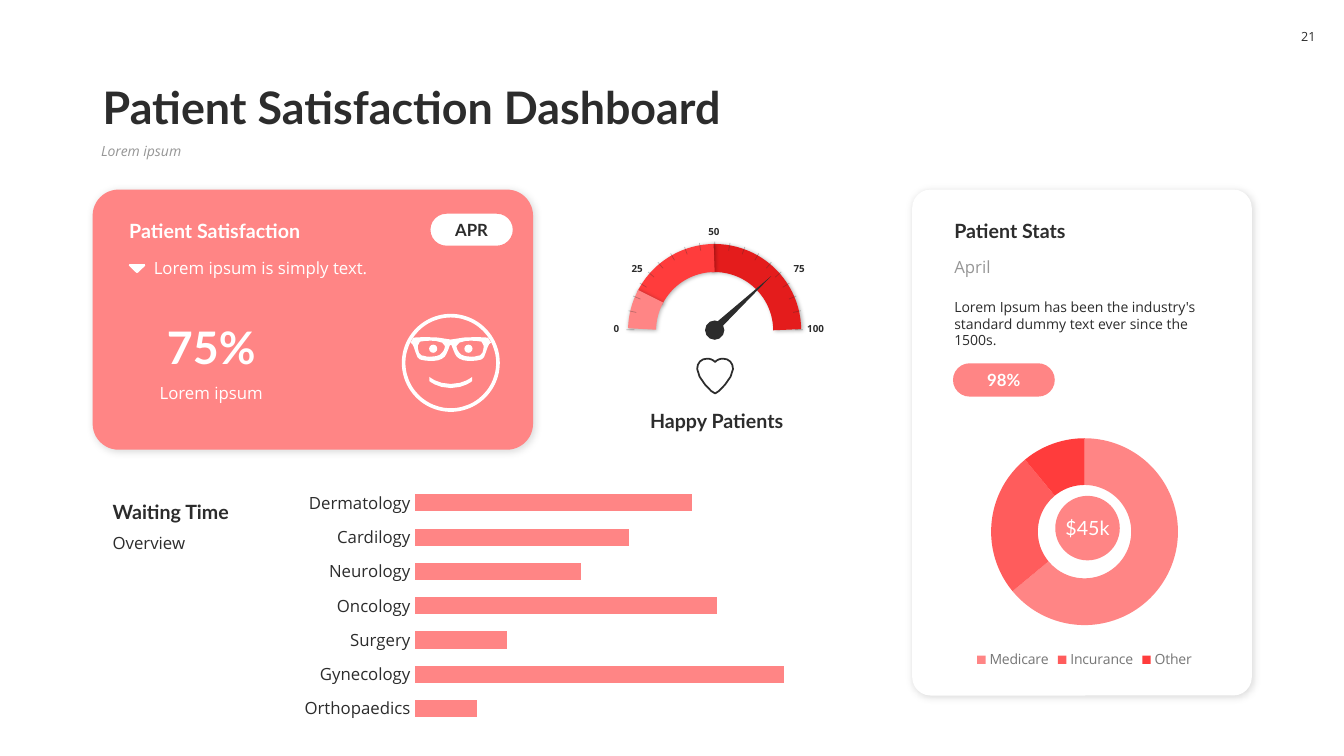
"""Build the patient satisfaction dashboard slide."""
import math

from lxml import etree
from pptx import Presentation
from pptx import util as u
from pptx.chart import data as chart_data
from pptx.dml import color as dml
from pptx.enum import chart as charts, shapes, text
from pptx.oxml import ns

Pt = u.Pt
COLORS = {"ink": "2C2C2C", "white": "FFFFFF", "grey": "969696", "legend": "767676",
          "coral": "FF8585", "salmon": "FF5C5C", "red": "FF3C3C", "crimson": "E41C1C",
          "black": "000000"}
HEADING, BODY = "Lato", "Open Sans"
LEFT, CENTER, RIGHT = text.PP_ALIGN.LEFT, text.PP_ALIGN.CENTER, text.PP_ALIGN.RIGHT
TOP, MIDDLE, BOTTOM = text.MSO_ANCHOR.TOP, text.MSO_ANCHOR.MIDDLE, text.MSO_ANCHOR.BOTTOM
PRESET = shapes.MSO_SHAPE
GAUGE_X, GAUGE_Y = 510.5, 235.6
TICK_ANGLES = (0, 12.5, 22.5, 32, 41, 50, 60, 70, 80, 90)


def rgb(name):
    return dml.RGBColor.from_string(COLORS[name])


def style_font(font, size, color, name=BODY, bold=False, italic=False):
    font.size, font.name, font.bold, font.italic = Pt(size), name, bold, italic
    font.color.rgb = rgb(color)


def write(shape, content, size, color, name=BODY, bold=False, italic=False,
          align=LEFT, anchor=TOP, wrap=True, insets=None, spacing=None):
    frame = shape.text_frame
    frame.text = content
    frame.word_wrap, frame.vertical_anchor = wrap, anchor
    if insets is not None:
        frame.margin_left = frame.margin_right = Pt(insets)
        frame.margin_top = frame.margin_bottom = Pt(insets)
    paragraph = frame.paragraphs[0]
    paragraph.alignment = align
    if spacing:
        paragraph.line_spacing = spacing
    style_font(paragraph.font, size, color, name, bold, italic)


def add_label(slide, box, content, size, color, **options):
    shape = slide.shapes.add_textbox(*map(Pt, box))
    write(shape, content, size, color, **options)
    shape.text_frame.auto_size = text.MSO_AUTO_SIZE.SHAPE_TO_FIT_TEXT


def add_heading(slide, box, content, color="ink", **options):
    add_label(slide, box, content, 14, color, name=HEADING, bold=True,
              **{"anchor": BOTTOM, **options})


def add_alpha(parent, percent):
    color = next(parent.iter(ns.qn("a:srgbClr")))
    etree.SubElement(color, ns.qn("a:alpha"), val=str(percent * 1000))


def paint(shape, fill=None, line=None, width=1, shadow=None):
    shape.shadow.inherit = False
    if fill:
        shape.fill.solid()
        shape.fill.fore_color.rgb = rgb(fill)
    else:
        shape.fill.background()
    if line:
        shape.line.color.rgb = rgb(line)
        shape.line.width = Pt(width)
    else:
        shape.line.fill.background()
    if shadow:
        alpha, blur, distance = shadow
        effects = next(shape._element.iter(ns.qn("a:effectLst")))
        outer = etree.SubElement(effects, ns.qn("a:outerShdw"), blurRad=str(Pt(blur)),
                                 dist=str(Pt(distance)), dir="2700000", rotWithShape="0")
        etree.SubElement(outer, ns.qn("a:srgbClr"), val=COLORS["black"])
        add_alpha(outer, alpha)


def add_preset(slide, preset, box, adjust=(), **look):
    shape = slide.shapes.add_shape(preset, *map(Pt, box))
    for index, value in enumerate(adjust):
        shape.adjustments[index] = value
    paint(shape, **look)
    return shape


def add_pill(slide, box, content, color, **look):
    shape = add_preset(slide, PRESET.ROUNDED_RECTANGLE, box, [0.5], **look)
    write(shape, content, 12, color, name=HEADING, bold=True, align=CENTER,
          anchor=MIDDLE, insets=0)


def curve(points, steps=3):
    """Sample a chain of cubic curves given as start, then two controls and an end each."""
    sampled = [points[0]]
    for i in range(0, len(points) - 1, 3):
        for step in range(1, steps + 1):
            t = step / steps
            weights = ((1 - t) ** 3, 3 * t * (1 - t) ** 2, 3 * t * t * (1 - t), t ** 3)
            sampled.append(tuple(sum(w * p[axis] for w, p in zip(weights, points[i:i + 4]))
                                 for axis in (0, 1)))
    return sampled


def mirror(points):
    return [(-x, y) for x, y in reversed(points)]


def add_outline(slide, x, y, contours, **look):
    placed = [[(Pt(x + dx), Pt(y + dy)) for dx, dy in contour] for contour in contours]
    builder = slide.shapes.build_freeform(*placed[0][0], scale=1.0)
    builder.add_line_segments(placed[0][1:], close=True)
    for contour in placed[1:]:
        builder.move_to(*contour[0])
        builder.add_line_segments(contour[1:], close=True)
    paint(builder.convert_to_shape(), **look)


def add_face(slide, x, y):
    add_preset(slide, PRESET.DONUT, (x - 35, y - 35, 70, 70), [0.037], fill="white")
    for side in (-1, 1):
        add_preset(slide, PRESET.OVAL, (x + side * 12.6 - 2.9, y - 13, 5.8, 5.8), fill="white")
    frame = curve([(0, -16.6), (9, -18.7), (19.8, -18.7), (26.6, -18)]) + curve([
        (28.8, -14.4), (27, -13.5), (27, -13), (25, -7.2), (24.3, -2.9), (21.4, -2.2),
        (21.4, -2.2), (18, -1.4), (16, -1.4), (14.8, -1.4), (11.2, -1.4), (9, -1.4),
        (6.3, -2.9), (4, -3.6), (2.7, -7.2), (2.7, -7.2), (1.2, -10), (1, -13), (0, -13)])
    lens = curve([
        (23.4, -10.1), (23.4, -9.4), (22.7, -7.9), (22.7, -7.2), (21.2, -5), (20.5, -5),
        (19.1, -5), (17.6, -4.3), (16.2, -4.3), (14.8, -4.3), (11.2, -4.3), (9, -5),
        (7.6, -5.8), (6.1, -6.5), (5.4, -8.6), (4.7, -9.4), (4.7, -10.1), (2.5, -13.7),
        (6.1, -14.4), (9, -15.8), (12.6, -15.8), (14, -15.8), (15.5, -15.8), (20.5, -15.8),
        (22, -15.1), (24.1, -13.7), (23.4, -10.8), (23.4, -10.1)], steps=2)
    add_outline(slide, x, y, [frame + mirror(frame), lens, mirror(lens)], fill="white")
    lip = curve([(0, 18), (9.7, 18), (15.3, 13), (15.3, 13)], steps=4) + curve(
        [(15.3, 10), (15.3, 10), (9.7, 15.1), (0, 15.1)], steps=4)
    add_outline(slide, x, y, [lip + mirror(lip)], fill="white")


def add_gauge(slide):
    radius = 51.85
    box = (GAUGE_X - radius, GAUGE_Y + 0.6 - radius, 2 * radius, 2 * radius)
    for color, start, end in (("crimson", 267.6, 359.3), ("red", 206.5, 269.6),
                              ("coral", 181.3, 208.2)):
        add_preset(slide, PRESET.ARC, box, [start * 0.6, end * 0.6], line=color, width=20,
                   shadow=(30, 3, 1))
    add_preset(slide, PRESET.OVAL, (GAUGE_X - 6.9, GAUGE_Y - 6.7, 13.8, 13.8), fill="ink")
    for degrees in TICK_ANGLES + tuple(180 - angle for angle in TICK_ANGLES[:-1]):
        cos, sin = math.cos(math.radians(degrees)), math.sin(math.radians(degrees))
        ends = [Pt(value) for r in (63, 57.4) for value in (GAUGE_X + r * cos, GAUGE_Y - r * sin)]
        tick = slide.shapes.add_connector(shapes.MSO_CONNECTOR.STRAIGHT, *ends)
        tick.line.color.rgb = rgb("ink")
        tick.line.width = Pt(0.5)
        add_alpha(tick._element.spPr, 30)
        etree.SubElement(tick._element.spPr, ns.qn("a:effectLst"))
    for value, x, y, width, align, anchor in (
            ("0", 430.6, 226.8, 18.7, RIGHT, MIDDLE), ("25", 443.9, 183.6, 22.3, RIGHT, MIDDLE),
            ("50", 498.6, 157, 22.3, RIGHT, BOTTOM), ("75", 559.8, 183.6, 22.3, LEFT, MIDDLE),
            ("100", 569.5, 226.8, 32.4, LEFT, MIDDLE)):
        add_label(slide, (x, y, width, 15.8), value, 7, "ink", bold=True, align=align,
                  anchor=anchor, wrap=value == "100")
    needle = add_preset(slide, PRESET.ISOSCELES_TRIANGLE, (526.3, 187.9, 5.8, 59), fill="ink")
    needle.rotation = 47
    half = curve([(0, 3), (1.4, 1.4), (3.6, 0.6), (5.6, 0.6), (10, 0.6), (12.8, 3.7),
                  (12.8, 8), (12.8, 14.5), (2, 25.5), (0, 25.5)], steps=4)
    add_outline(slide, 510.8, 255.6, [half + mirror(half)], line="ink", width=1.25)


def add_chart(slide, kind, box, categories, values, size):
    data = chart_data.CategoryChartData()
    data.categories = categories
    data.add_series("Series 1", values)
    chart = slide.shapes.add_chart(kind, *map(Pt, box), data).chart
    chart.has_title = chart.has_legend = False
    style_font(chart.font, size, "ink")
    return chart


def add_waiting_chart(slide):
    chart = add_chart(slide, charts.XL_CHART_TYPE.BAR_CLUSTERED, (209.5, 343.4, 402.5, 178.6),
                      ["Dermatology", "Cardilogy", "Neurology", "Oncology", "Surgery",
                       "Gynecology", "Orthopaedics"], [75, 58, 45, 82, 25, 100, 17], 12)
    axis, scale, plot = chart.category_axis, chart.value_axis, chart.plots[0]
    axis.reverse_order = True
    axis.major_tick_mark = charts.XL_TICK_MARK.NONE
    axis.format.line.fill.background()
    scale.visible = scale.has_major_gridlines = False
    scale.minimum_scale, scale.maximum_scale = 0, 116.67
    plot.gap_width, plot.vary_by_categories = 100, False
    fill = plot.series[0].format.fill
    fill.solid()
    fill.fore_color.rgb = rgb("coral")


def add_payer_chart(slide):
    chart = add_chart(slide, charts.XL_CHART_TYPE.DOUGHNUT, (661.7, 303.1, 226, 177.8),
                      ["Medicare", "Incurance", "Other"], [64, 25, 11], 10)
    chart.plots[0].vary_by_categories = True
    chart.has_legend = True
    chart.legend.position = charts.XL_LEGEND_POSITION.BOTTOM
    chart.legend.include_in_layout = False
    style_font(chart.legend.font, 10, "legend")
    next(chart._chartSpace.iter(ns.qn("c:holeSize"))).set("val", "75")
    for index, color in enumerate(("coral", "salmon", "red")):
        fill = chart.plots[0].series[0].points[index].format.fill
        fill.solid()
        fill.fore_color.rgb = rgb(color)


def add_header(slide):
    title = slide.shapes.title
    title.left, title.top, title.width, title.height = map(Pt, (66.2, 41.8, 828, 57.6))
    write(title, "Patient Satisfaction Dashboard", 32, "ink", name=HEADING, bold=True,
          anchor=BOTTOM, spacing=0.9)
    title.text_frame.auto_size = text.MSO_AUTO_SIZE.NONE
    add_label(slide, (65.1, 99.4, 829.4, 25.9), "Lorem ipsum", 10, "grey", italic=True,
              spacing=0.9)
    number = add_preset(slide, PRESET.ROUNDED_RECTANGLE, (921.6, 13.3, 25.9, 25.2), [0.27],
                        fill="white")
    write(number, "21", 9, "ink", align=CENTER, anchor=MIDDLE, wrap=False, insets=0)


def add_satisfaction_card(slide):
    add_preset(slide, PRESET.ROUNDED_RECTANGLE, (66.2, 135.4, 314.6, 185.8), [0.1],
               fill="coral", shadow=(15, 6, 1))
    add_label(slide, (92.2, 224.6, 117.4, 46.1), "75%", 32, "white", name=HEADING, bold=True,
              align=CENTER, anchor=BOTTOM)
    add_label(slide, (92.2, 270, 117.4, 21.6), "Lorem ipsum", 12, "white", align=CENTER)
    add_pill(slide, (307, 152.2, 59.8, 23.8), "APR", "ink", fill="white", line="coral")
    add_heading(slide, (85.2, 151.9, 180.7, 24.5), "Patient Satisfaction", "white")
    add_label(slide, (102.8, 180.3, 264.2, 21.6), "Lorem ipsum is simply text.", 12, "white")
    marker = [(0, 6.5), (0.6, 6.2), (5.8, 1.2), (5.5, 0)]
    add_outline(slide, 97.9, 188.6, [marker + mirror(marker)], fill="white")
    add_face(slide, 322, 259.2)


def add_stats_card(slide):
    add_preset(slide, PRESET.ROUNDED_RECTANGLE, (651.6, 135.4, 242.6, 361.4), [0.054],
               fill="white", shadow=(15, 6, 1))
    add_heading(slide, (674.6, 151.9, 213.1, 24.5), "Patient Stats")
    add_label(slide, (674.6, 180, 213.1, 21.6), "April", 12, "grey")
    add_pill(slide, (680.7, 259.5, 72.7, 23.8), "98%", "white", fill="coral")
    add_label(slide, (674.6, 209.5, 213.1, 31.7), "Lorem Ipsum has been the industry's "
              "standard dummy text ever since the 1500s.", 10, "ink")
    add_payer_chart(slide)
    total = add_preset(slide, PRESET.OVAL, (753.8, 354.2, 46.1, 46.1), fill="coral")
    write(total, "$45k", 14, "white", name=HEADING, align=CENTER, anchor=MIDDLE,
          wrap=False, insets=0)


def main():
    presentation = Presentation()
    presentation.slide_width, presentation.slide_height = Pt(960), Pt(540)
    slide = presentation.slides.add_slide(presentation.slide_layouts[5])
    add_header(slide)
    add_satisfaction_card(slide)
    add_gauge(slide)
    add_heading(slide, (416.9, 288, 190.1, 24.5), "Happy Patients", align=CENTER, anchor=MIDDLE)
    add_heading(slide, (73.4, 352.8, 205.9, 24.5), "Waiting Time")
    add_label(slide, (73.4, 377.3, 205.9, 21.6), "Overview", 12, "ink")
    add_waiting_chart(slide)
    add_stats_card(slide)
    presentation.save("out.pptx")


if __name__ == "__main__":
    main()
